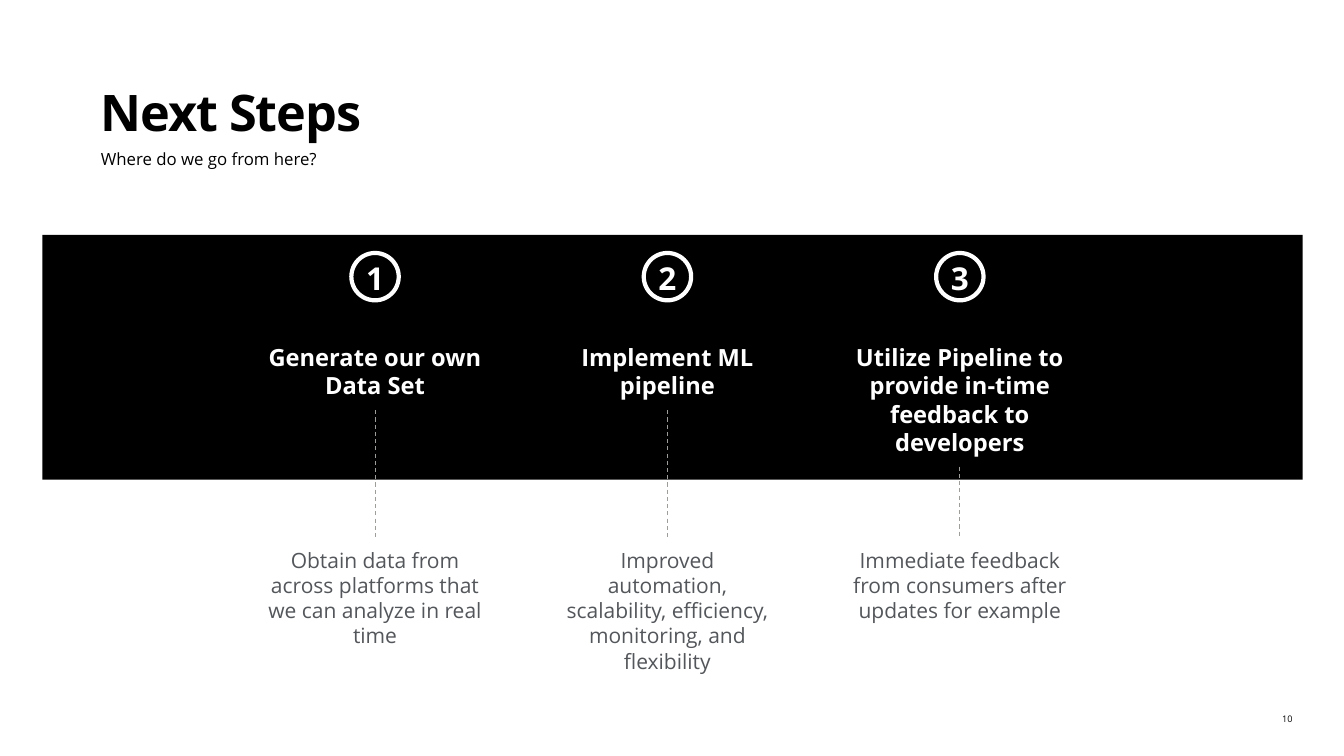
from dataclasses import dataclass

from lxml import etree
from pptx import Presentation
from pptx.dml.color import RGBColor
from pptx.enum.dml import MSO_LINE
from pptx.enum.shapes import MSO_CONNECTOR, MSO_SHAPE
from pptx.enum.text import MSO_ANCHOR, MSO_AUTO_SIZE, PP_ALIGN
from pptx.oxml.ns import qn
from pptx.util import Inches, Pt

RECT, OVAL = MSO_SHAPE.RECTANGLE, MSO_SHAPE.OVAL
STRAIGHT, DASH = MSO_CONNECTOR.STRAIGHT, MSO_LINE.DASH
LEFT, CENTER, RIGHT = PP_ALIGN.LEFT, PP_ALIGN.CENTER, PP_ALIGN.RIGHT
TOP, MIDDLE, BOTTOM = MSO_ANCHOR.TOP, MSO_ANCHOR.MIDDLE, MSO_ANCHOR.BOTTOM
FIXED = MSO_AUTO_SIZE.NONE


@dataclass(frozen=True)
class Theme:
    font: str = "Open Sans"
    black: str = "000000"
    white: str = "FFFFFF"
    gray: str = "53565A"
    rule: str = "9D9D99"
    title: float = 36
    sub: float = 12
    digit: float = 22.5
    head: float = 16.9
    body: float = 15
    page: float = 6.5


@dataclass(frozen=True)
class Step:
    head: str
    head_h: float
    body: str
    body_h: float


THEME = Theme()
STEPS = [
    Step("Generate our own Data Set", 0.76,
         "Obtain data from across platforms that we can analyze in real time", 1.2),
    Step("Implement ML pipeline", 0.76,
         "Improved automation, scalability, efficiency, monitoring, and flexibility", 1.73),
    Step("Utilize Pipeline to provide in-time feedback to developers", 1.32,
         "Immediate feedback from consumers after updates for example", 0.95),
]
FIRST, PITCH, WIDTH = 2.64, 2.9, 2.16
HEAD_Y, BODY_Y = 3.31, 5.34
RING_Y, RING = 2.51, 0.47


def write(shape, text: str, size: float, color: str, bold: bool = False,
          align=CENTER, anchor=TOP, pad: tuple = (0, 0)):
    frame = shape.text_frame
    frame.text = text
    frame.word_wrap = True
    frame.auto_size = FIXED
    frame.vertical_anchor = anchor
    frame.margin_left = frame.margin_right = 0
    frame.margin_top, frame.margin_bottom = map(Inches, pad)
    para = frame.paragraphs[0]
    para.alignment = align
    para.space_before = Pt(0)
    font = para.runs[0].font
    font.name, font.size, font.bold = THEME.font, Pt(size), bold
    font.color.rgb = RGBColor.from_string(color)
    return para


def place(shape, x: float, y: float, w: float, h: float) -> None:
    shape.left, shape.top = Inches(x), Inches(y)
    shape.width, shape.height = Inches(w), Inches(h)


def add_box(slide, x: float, y: float, w: float, h: float):
    return slide.shapes.add_textbox(Inches(x), Inches(y), Inches(w), Inches(h))


def add_top(slide) -> None:
    title, sub = slide.shapes.title, slide.placeholders[1]
    place(title, 1, 0.76, 11.33, 0.65)
    para = write(title, "Next Steps", THEME.title, THEME.black, True, LEFT, BOTTOM, (0.05, 0))
    para.runs[0]._r.get_or_add_rPr().set("spc", "-80")
    place(sub, 1, 1.48, 11.33, 0.52)
    para = write(sub, "Where do we go from here?", THEME.sub, THEME.black, align=LEFT)
    props = para._p.get_or_add_pPr()
    props.set("marL", "0")
    props.set("indent", "0")
    etree.SubElement(props, qn("a:buNone"))


def add_band(slide) -> None:
    band = slide.shapes.add_shape(RECT, Inches(0.42), Inches(2.33), Inches(12.5), Inches(2.43))
    band.shadow.inherit = False
    band.fill.solid()
    band.fill.fore_color.rgb = RGBColor.from_string(THEME.black)
    band.line.fill.background()


def add_ring(slide, mid: float, num: int) -> None:
    ring = slide.shapes.add_shape(OVAL, Inches(mid - RING / 2), Inches(RING_Y),
                                  Inches(RING), Inches(RING))
    ring.shadow.inherit = False
    ring.fill.background()
    ring.line.color.rgb = RGBColor.from_string(THEME.white)
    ring.line.width = Pt(3)
    para = write(ring, str(num), THEME.digit, THEME.white, True, anchor=MIDDLE)
    para.line_spacing = 1.06


def add_link(slide, head, body) -> None:
    link = slide.shapes.add_connector(STRAIGHT, 0, 0, 0, 0)
    link.begin_connect(head, 2)
    link.end_connect(body, 0)
    link.line.color.rgb = RGBColor.from_string(THEME.rule)
    link.line.width = Pt(0.75)
    link.line.dash_style = DASH
    etree.SubElement(link._element.spPr, qn("a:effectLst"))


def add_step(slide, num: int, step: Step) -> None:
    x = FIRST + PITCH * (num - 1)
    pad = (0.09, 0.09)
    head = add_box(slide, x, HEAD_Y, WIDTH, step.head_h)
    write(head, step.head, THEME.head, THEME.white, True, pad=pad)
    body = add_box(slide, x, BODY_Y, WIDTH, step.body_h)
    write(body, step.body, THEME.body, THEME.gray, pad=pad)
    add_link(slide, head, body)
    add_ring(slide, x + WIDTH / 2, num)


def main() -> None:
    deck = Presentation()
    deck.slide_width, deck.slide_height = Inches(13.33), Inches(7.5)
    slide = deck.slides.add_slide(deck.slide_layouts[1])
    add_top(slide)
    add_band(slide)
    for num, step in enumerate(STEPS, 1):
        add_step(slide, num, step)
    page = add_box(slide, 12.48, 7.08, 0.34, 0.11)
    write(page, "10", THEME.page, THEME.black, align=RIGHT)
    deck.save("out.pptx")


if __name__ == "__main__":
    main()
